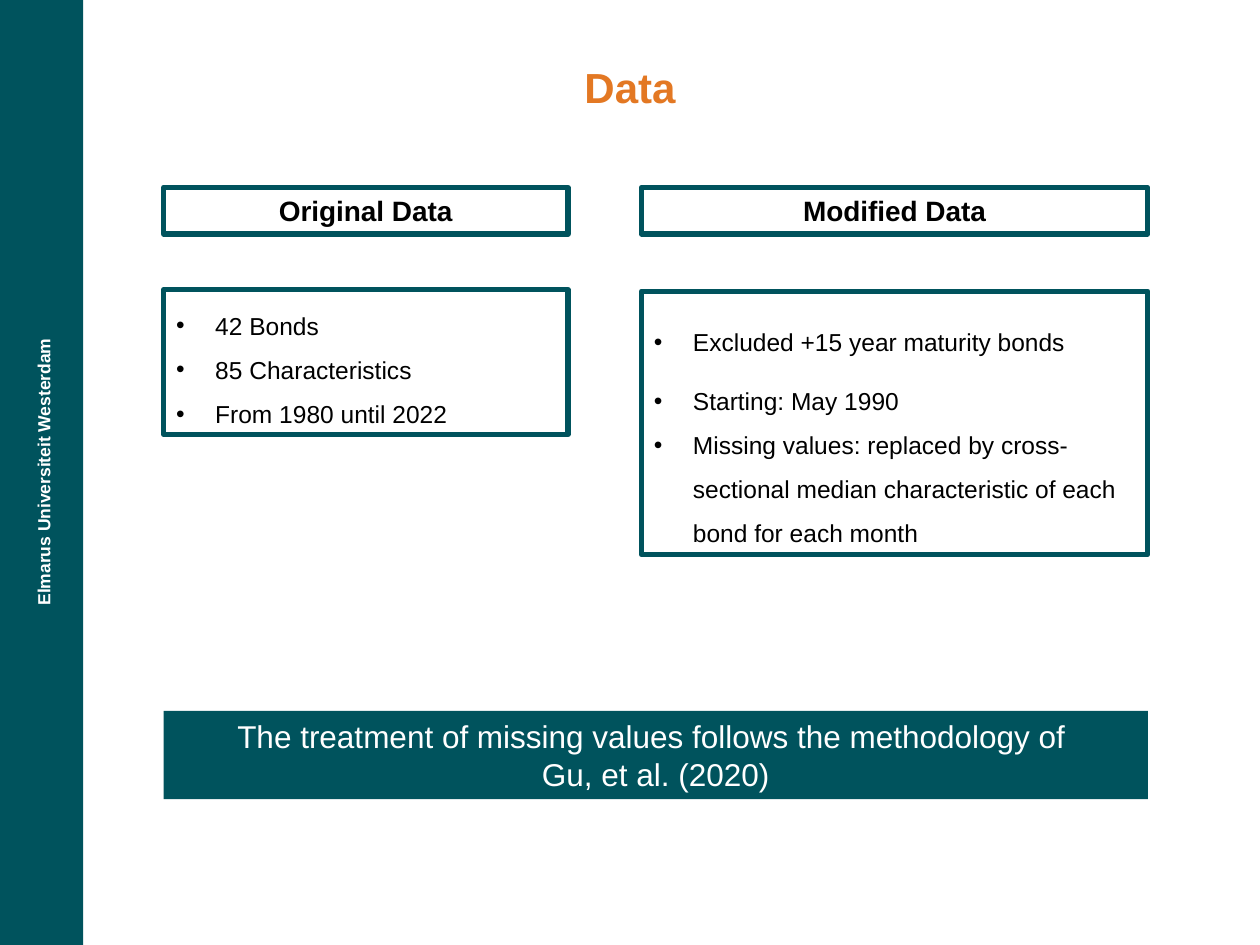
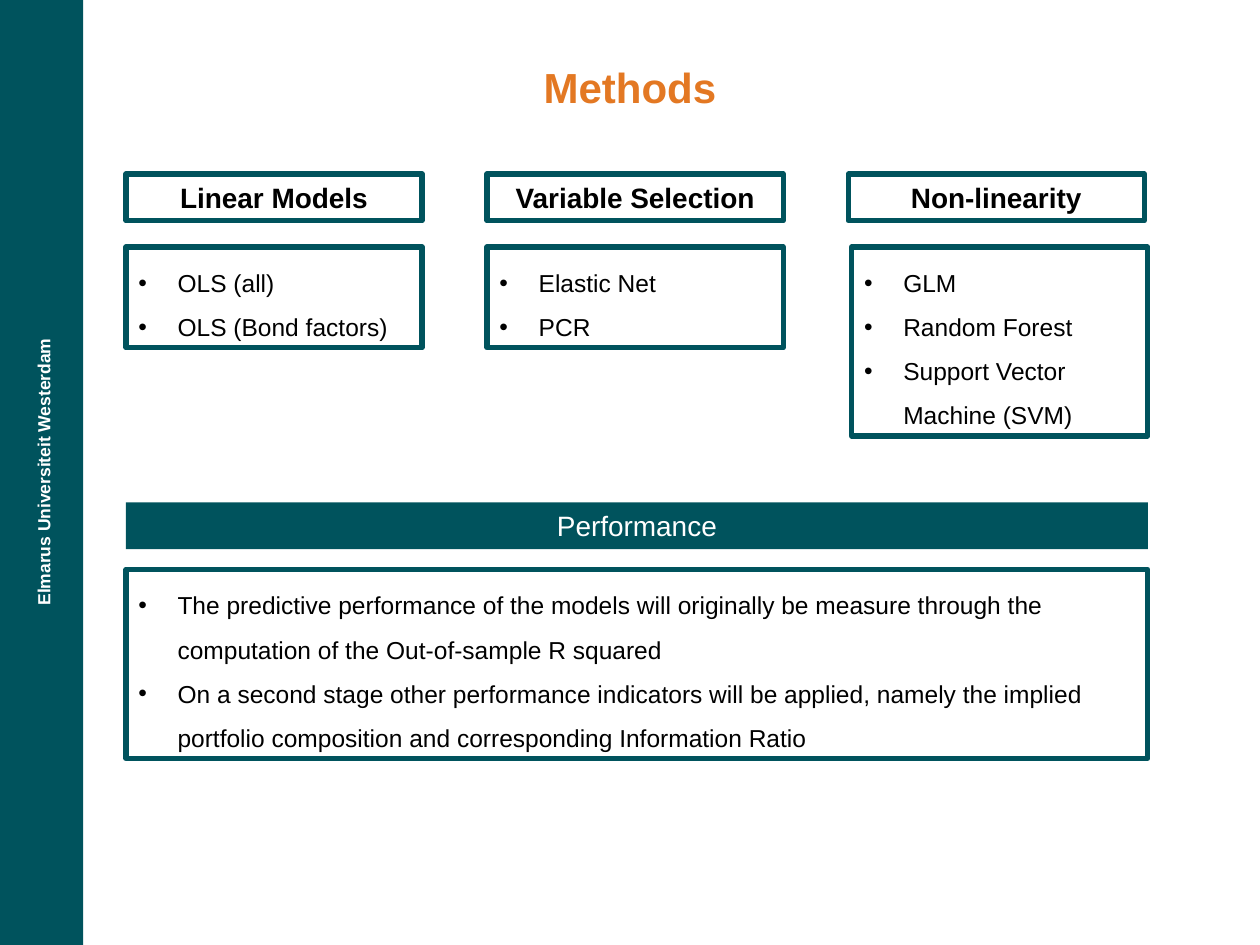
from lxml import etree
from pptx import Presentation, util as u
from pptx.dml import color
from pptx.enum import shapes, text as t
from pptx.oxml import ns

Cm = u.Cm
HUES = {"teal": "00535D", "gold": "E37823", "black": "000000", "white": "FFFFFF"}
FONT = "Arial"


def rgb(hue):
    return color.RGBColor.from_string(HUES[hue])


def bullet(para):
    """Give a paragraph a round bullet with a hanging indent."""
    props = para._p.get_or_add_pPr()
    props.set("marL", str(Cm(0.79)))
    props.set("indent", str(-Cm(0.79)))
    etree.SubElement(props, ns.qn("a:buFont"), typeface=FONT)
    etree.SubElement(props, ns.qn("a:buChar"), char="•")


def write(shape, lines, size=14, hue="black", bold=False, center=True,
          middle=False, dots=False, gaps=None):
    """Fill a shape with one paragraph per line; gaps are line spacings."""
    frame = shape.text_frame
    frame.word_wrap = True
    frame.auto_size = t.MSO_AUTO_SIZE.SHAPE_TO_FIT_TEXT
    frame.vertical_anchor = t.MSO_ANCHOR.MIDDLE if middle else t.MSO_ANCHOR.TOP
    for i, line in enumerate(lines):
        para = frame.add_paragraph() if i else frame.paragraphs[0]
        para.text = line
        para.alignment = t.PP_ALIGN.CENTER if center else t.PP_ALIGN.LEFT
        if gaps:
            para.line_spacing = gaps[i]
        if dots:
            bullet(para)
        for run in para.runs:
            font = run.font
            font.name, font.size, font.bold = FONT, u.Pt(size), bold
            font.color.rgb = rgb(hue)


class Deck:
    def __init__(self):
        self.show = Presentation()
        self.show.slide_width, self.show.slide_height = Cm(25.4), Cm(19.05)
        self.slide = None

    def rect(self, x, y, w, h, fill=None, line=None):
        box = self.slide.shapes.add_shape(
            shapes.MSO_SHAPE.RECTANGLE, Cm(x), Cm(y), Cm(w), Cm(h))
        box.shadow.inherit = False
        if fill:
            box.fill.solid()
            box.fill.fore_color.rgb = rgb(fill)
        else:
            box.fill.background()
        if line:
            box.line.color.rgb = rgb(line)
            box.line.width = u.Pt(3)
        else:
            box.line.fill.background()
        return box

    def label(self, x, y, w, h, words, turn=0, **style):
        box = self.slide.shapes.add_textbox(Cm(x), Cm(y), Cm(w), Cm(h))
        box.rotation = turn
        write(box, [words], bold=True, **style)

    def page(self, title):
        """Start a slide with the side band and the title."""
        self.slide = self.show.slides.add_slide(self.show.slide_layouts[6])
        self.rect(0, 0, 1.68, 19.05, fill="teal")
        self.label(-2.62, 9.17, 7.01, 0.69, "Elmarus Universiteit Westerdam",
                   turn=270, size=10, hue="white")
        self.label(2.54, 1.12, 20.32, 1.27, title, size=24, hue="gold")

    def head(self, x, y, w, words):
        write(self.rect(x, y, w, 0.94, line="teal"), [words],
              size=16, bold=True, middle=True)

    def body(self, x, y, w, h, lines, gaps=None):
        write(self.rect(x, y, w, h, line="teal"), lines, center=False,
              middle=True, dots=True, gaps=gaps or [1.5] * len(lines))

    def band(self, x, y, w, h, words, size):
        write(self.rect(x, y, w, h, fill="teal"), [words], size=size, hue="white")

    def save(self):
        self.show.save("out.pptx")


def data(deck):
    deck.page("Data")
    left, right = (3.3, 8.15), (12.93, 10.21)

    # Column heads
    deck.head(left[0], 3.78, left[1], "Original Data")
    deck.head(right[0], 3.78, right[1], "Modified Data")

    # Column lists
    deck.body(left[0], 5.84, left[1], 2.92,
              ["42 Bonds", "85 Characteristics", "From 1980 until 2022"])
    deck.body(right[0], 5.87, right[1], 5.31,
              ["Excluded +15 year maturity bonds", "Starting: May 1990",
               "Missing values: replaced by cross-sectional median "
               "characteristic of each bond for each month"],
              gaps=[2.0, 2.0, 1.5])

    # Closing remark
    deck.band(3.3, 14.33, 19.84, 1.78,
              "The treatment of missing values follows the methodology of \v"
              "Gu, et al. (2020)", 18)


def methods(deck):
    deck.page("Methods")
    left, step, wide, full = 2.54, 7.28, 5.97, 20.6

    # Model groups: head, list, list offset, list height
    groups = [
        ("Linear Models", ["OLS (all)", "OLS (Bond factors)"], 0, 2.03),
        ("Variable Selection", ["Elastic Net", "PCR"], 0, 2.03),
        ("Non-linearity",
         ["GLM", "Random Forest", "Support Vector Machine (SVM)"], 0.07, 3.81),
    ]
    for i, (name, lines, shift, high) in enumerate(groups):
        x = left + i * step
        deck.head(x, 3.51, wide, name)
        deck.body(x + shift, 4.98, wide, high, lines)

    # Performance
    deck.band(left, 10.13, full, 0.94, "Performance", 16)
    deck.body(left, 11.48, full, 3.81, [
        "The predictive performance of the models will originally be measure "
        "through the computation of the Out-of-sample R squared",
        "On a second stage other performance indicators will be applied, namely "
        "the implied portfolio composition and corresponding Information Ratio"])


def main():
    deck = Deck()
    data(deck)
    methods(deck)
    deck.save()


if __name__ == "__main__":
    main()
